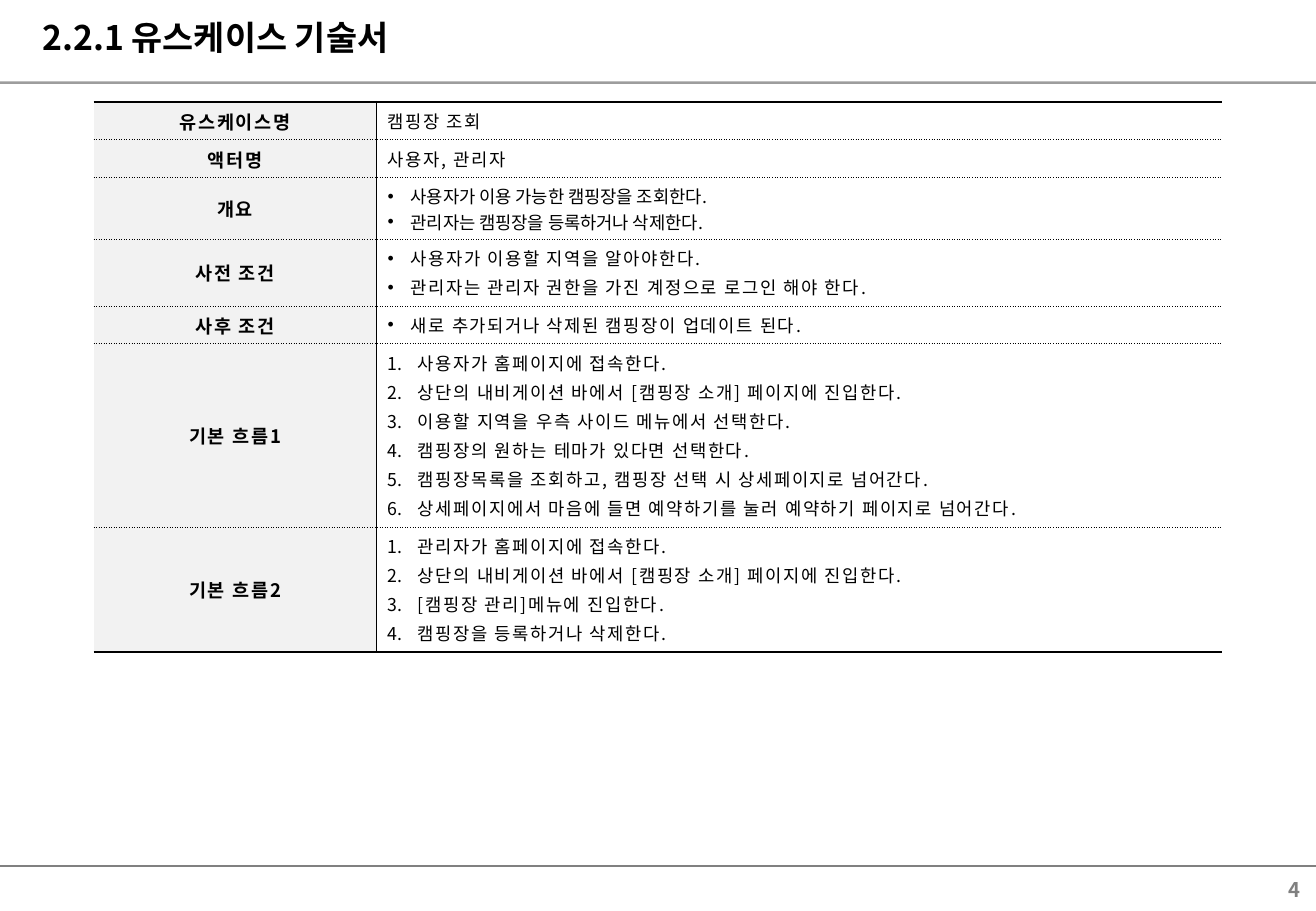
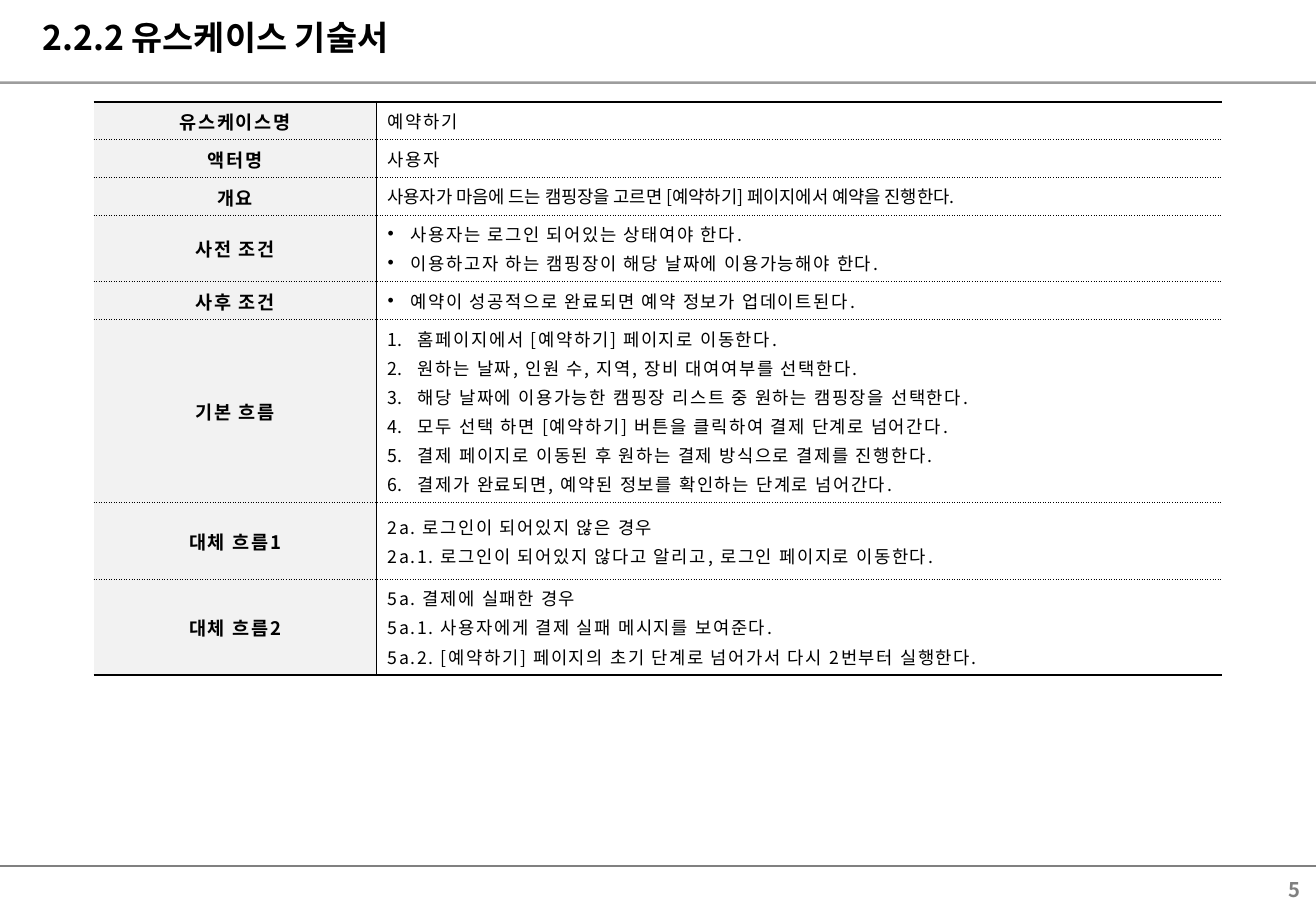
"""Builds two use case specification slides, each with one table."""
from lxml import etree
from pptx import Presentation
from pptx.dml.color import RGBColor
from pptx.enum.shapes import MSO_CONNECTOR
from pptx.enum.text import MSO_ANCHOR, PP_ALIGN
from pptx.oxml.ns import qn
from pptx.util import Inches, Pt

LEFT, CENTER, RIGHT = PP_ALIGN.LEFT, PP_ALIGN.CENTER, PP_ALIGN.RIGHT
TOP, MIDDLE = MSO_ANCHOR.TOP, MSO_ANCHOR.MIDDLE
STRAIGHT = MSO_CONNECTOR.STRAIGHT

FONT = "Noto Sans CJK KR"
BLACK, GRAY, LABEL_FILL, WHITE = "000000", "808080", "F2F2F2", "FFFFFF"
NO_GRID_STYLE = "{2D5ABB26-0587-4C30-8999-92F81FD0307C}"
WIDTH, HEIGHT = 10.83, 7.5
TABLE_LEFT, TABLE_TOP = 0.77, 0.84
COLUMNS = (2.33, 6.96)
FIRST_LINE, NEXT_LINE, NEXT_TIGHT_LINE = 0.31, 0.24, 0.2
MINIMUM_HEIGHTS = {"대체 흐름1": 0.63}

BULLET = {"indent": 0.19, "marker": ("a:buChar", {"char": "•"})}
NUMBER = {"indent": 0.25, "marker": ("a:buAutoNum", {"type": "arabicPeriod"})}
PLAIN = {}
TIGHT = {"spacing": 0, "before": 0}

USE_CASES = [
    ("2.2.1 유스케이스 기술서", 4, [
        ("유스케이스명", PLAIN, ["캠핑장 조회"]),
        ("액터명", PLAIN, ["사용자, 관리자"]),
        ("개요", BULLET | TIGHT, [
            "사용자가 이용 가능한 캠핑장을 조회한다.",
            "관리자는 캠핑장을 등록하거나 삭제한다."]),
        ("사전 조건", BULLET, [
            "사용자가 이용할 지역을 알아야한다.",
            "관리자는 관리자 권한을 가진 계정으로 로그인 해야 한다."]),
        ("사후 조건", BULLET, ["새로 추가되거나 삭제된 캠핑장이 업데이트 된다."]),
        ("기본 흐름1", NUMBER, [
            "사용자가 홈페이지에 접속한다.",
            "상단의 내비게이션 바에서 [캠핑장 소개] 페이지에 진입한다.",
            "이용할 지역을 우측 사이드 메뉴에서 선택한다.",
            "캠핑장의 원하는 테마가 있다면 선택한다.",
            "캠핑장목록을 조회하고, 캠핑장 선택 시 상세페이지로 넘어간다.",
            "상세페이지에서 마음에 들면 예약하기를 눌러 예약하기 페이지로 넘어간다."]),
        ("기본 흐름2", NUMBER, [
            "관리자가 홈페이지에 접속한다.",
            "상단의 내비게이션 바에서 [캠핑장 소개] 페이지에 진입한다.",
            "[캠핑장 관리]메뉴에 진입한다.",
            "캠핑장을 등록하거나 삭제한다."]),
    ]),
    ("2.2.2 유스케이스 기술서", 5, [
        ("유스케이스명", PLAIN, ["예약하기"]),
        ("액터명", PLAIN, ["사용자"]),
        ("개요", TIGHT, [
            "사용자가 마음에 드는 캠핑장을 고르면 [예약하기] 페이지에서 예약을 진행한다."]),
        ("사전 조건", BULLET, [
            "사용자는 로그인 되어있는 상태여야 한다.",
            "이용하고자 하는 캠핑장이 해당 날짜에 이용가능해야 한다."]),
        ("사후 조건", BULLET, ["예약이 성공적으로 완료되면 예약 정보가 업데이트된다."]),
        ("기본 흐름", NUMBER, [
            "홈페이지에서 [예약하기] 페이지로 이동한다.",
            "원하는 날짜, 인원 수, 지역, 장비 대여여부를 선택한다.",
            "해당 날짜에 이용가능한 캠핑장 리스트 중 원하는 캠핑장을 선택한다.",
            "모두 선택 하면 [예약하기] 버튼을 클릭하여 결제 단계로 넘어간다.",
            "결제 페이지로 이동된 후 원하는 결제 방식으로 결제를 진행한다.",
            "결제가 완료되면, 예약된 정보를 확인하는 단계로 넘어간다."]),
        ("대체 흐름1", PLAIN, [
            "2a. 로그인이 되어있지 않은 경우",
            "2a.1. 로그인이 되어있지 않다고 알리고, 로그인 페이지로 이동한다."]),
        ("대체 흐름2", PLAIN, [
            "5a. 결제에 실패한 경우",
            "5a.1. 사용자에게 결제 실패 메시지를 보여준다.",
            "5a.2. [예약하기] 페이지의 초기 단계로 넘어가서 다시 2번부터 실행한다."]),
    ]),
]


def color(value):
    return RGBColor.from_string(value)


def add_element(parent, tag, **attributes):
    return etree.SubElement(parent, qn(tag), attributes)


def write(frame, lines, size=10.5, bold=False, ink=BLACK, align=LEFT,
          spacing=1, before=2.1, indent=0, marker=None):
    for index, line in enumerate(lines):
        para = frame.paragraphs[0] if index == 0 else frame.add_paragraph()
        para.alignment = align
        para.space_before = Pt(before)
        if marker:
            properties = para._p.get_or_add_pPr()
            properties.set("marL", str(Inches(indent)))
            properties.set("indent", str(-Inches(indent)))
            add_element(properties, "a:buFont", typeface=FONT if marker is NUMBER["marker"] else "Arial")
            tag, attributes = marker
            add_element(properties, tag, **attributes)
        span = para.add_run()
        span.text = line
        span.font.size = Pt(size)
        span.font.bold = bold
        span.font.name = FONT
        span.font.color.rgb = color(ink)
        span._r.rPr.set("spc", str(spacing * 100))
        span._r.rPr.set("kern", "0")
        add_element(span._r.rPr, "a:ea", typeface=FONT)


def add_text(page, text, left, top, width, height, anchor, **style):
    box = page.shapes.add_textbox(Inches(left), Inches(top), Inches(width), Inches(height))
    frame = box.text_frame
    frame.word_wrap = True
    frame.vertical_anchor = anchor
    write(frame, [text], bold=True, spacing=0, before=0, **style)


def add_rule(page, top, weight, opacity=100):
    rule = page.shapes.add_connector(STRAIGHT, 0, Inches(top), Inches(WIDTH), Inches(top))
    rule.line.width = Pt(weight)
    rule.line.color.rgb = color(GRAY)
    if opacity < 100:
        tint = rule._element.spPr.find(".//" + qn("a:srgbClr"))
        add_element(tint, "a:alpha", val=str(opacity * 1000))
    add_element(rule._element.spPr, "a:effectLst")


def add_border(cell, side, weight, dash):
    line = add_element(cell._tc.get_or_add_tcPr(), f"a:ln{side}", w=str(Pt(weight)))
    add_element(add_element(line, "a:solidFill"), "a:srgbClr", val=BLACK)
    add_element(line, "a:prstDash", val=dash)


def format_cell(cell, fill, inner_side, is_first, is_last):
    outer, dotted = (1.5, "solid"), (0.5, "sysDot")
    add_border(cell, inner_side, 0.5, "solid")
    add_border(cell, "T", *(outer if is_first else dotted))
    add_border(cell, "B", *(outer if is_last else dotted))
    cell.fill.solid()
    cell.fill.fore_color.rgb = color(fill)
    cell.vertical_anchor = MIDDLE
    cell.margin_left = cell.margin_right = Inches(0.09)
    cell.margin_top = cell.margin_bottom = Inches(0.05)


def row_height(label, style, lines):
    step = NEXT_TIGHT_LINE if style.get("before") == 0 else NEXT_LINE
    return max(FIRST_LINE + step * (len(lines) - 1), MINIMUM_HEIGHTS.get(label, 0))


def add_use_case_table(page, rows):
    heights = [row_height(*row) for row in rows]
    table = page.shapes.add_table(
        len(rows), len(COLUMNS), Inches(TABLE_LEFT), Inches(TABLE_TOP),
        Inches(sum(COLUMNS)), Inches(sum(heights))).table
    table.first_row = table.horz_banding = False
    table._tbl.tblPr.find(qn("a:tableStyleId")).text = NO_GRID_STYLE
    for column, width in zip(table.columns, COLUMNS):
        column.width = Inches(width)
    for index, (label, style, lines) in enumerate(rows):
        table.rows[index].height = Inches(heights[index])
        label_cell, value_cell = table.rows[index].cells
        edges = index == 0, index == len(rows) - 1
        format_cell(label_cell, LABEL_FILL, "R", *edges)
        format_cell(value_cell, WHITE, "L", *edges)
        write(label_cell.text_frame, [label], size=11, bold=True, align=CENTER)
        write(value_cell.text_frame, lines, **style)


def add_page(deck, title, number):
    page = deck.slides.add_slide(deck.slide_layouts[6])
    add_rule(page, 7.13, 0.75)
    add_rule(page, 0.68, 1.5, opacity=76)
    add_text(page, title, 0.25, 0.09, 10.43, 0.49, TOP, size=20)
    add_text(page, str(number), 8.36, 7.17, 2.44, 0.31, MIDDLE, size=12, ink=GRAY, align=RIGHT)
    return page


def main():
    deck = Presentation()
    deck.slide_width, deck.slide_height = Inches(WIDTH), Inches(HEIGHT)
    for title, number, rows in USE_CASES:
        add_use_case_table(add_page(deck, title, number), rows)
    deck.save("out.pptx")


if __name__ == "__main__":
    main()
